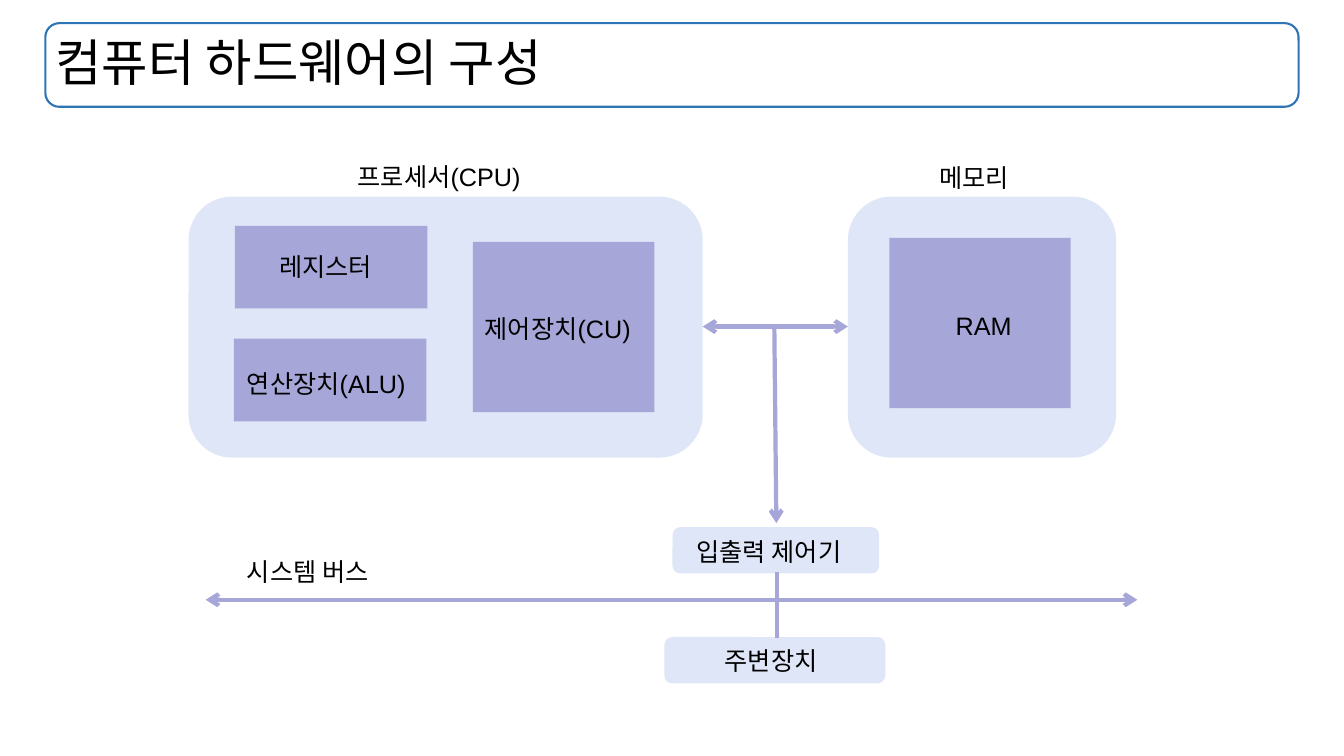
from pptx import Presentation
from pptx.dml.color import RGBColor
from pptx.enum.shapes import MSO_CONNECTOR, MSO_SHAPE
from pptx.enum.text import MSO_ANCHOR
from pptx.oxml.ns import qn
from pptx.util import Inches, Pt
from lxml import etree

ROUND = MSO_SHAPE.ROUNDED_RECTANGLE
RECT = MSO_SHAPE.RECTANGLE
STRAIGHT = MSO_CONNECTOR.STRAIGHT
MIDDLE = MSO_ANCHOR.MIDDLE
PALE, LILAC = "DFE6F7", "A6A7D8"

deck = Presentation()
deck.slide_width, deck.slide_height = Inches(13.33), Inches(7.5)
slide = deck.slides.add_slide(deck.slide_layouts[6])
shapes = slide.shapes


def color(code):
    return RGBColor.from_string(code)


def write(frame, text, size):
    frame.word_wrap = True
    para = frame.paragraphs[0]
    para.text = text
    para.font.name = "Arial"
    para.font.size = Pt(size)
    para.font.color.rgb = color("000000")
    return para


# Title in its outlined frame
place = [Inches(n) for n in (0.45, 0.23, 12.43, 0.83)]
frame = shapes.add_shape(ROUND, *place)
frame.shadow.inherit = False
frame.fill.background()
frame.line.color.rgb = color("2E75B6")
frame.line.width = Pt(1.5)
title = shapes.add_textbox(*place).text_frame
title.vertical_anchor = MIDDLE
write(title, "컴퓨터 하드웨어의 구성", 36).line_spacing = 0.9

# Panels, with the parts inside them
for kind, fill, *place in [
    (ROUND, PALE, 1.87, 1.95, 5.1, 2.59),    # processor
    (RECT, LILAC, 2.33, 2.24, 1.91, 0.82),   # registers
    (RECT, LILAC, 2.32, 3.36, 1.91, 0.82),   # ALU
    (RECT, LILAC, 4.69, 2.4, 1.8, 1.69),     # control unit
    (ROUND, PALE, 8.41, 1.95, 2.66, 2.59),   # memory
    (RECT, LILAC, 8.82, 2.36, 1.8, 1.69),    # RAM
    (ROUND, PALE, 6.67, 5.23, 2.05, 0.46),   # I/O controller
    (ROUND, PALE, 6.59, 6.32, 2.19, 0.46),   # peripherals
]:
    box = shapes.add_shape(kind, *[Inches(n) for n in place])
    box.shadow.inherit = False
    box.fill.solid()
    box.fill.fore_color.rgb = color(fill)
    box.line.fill.background()

# Bus lines, with the ends that carry arrowheads
BOTH = ("headEnd", "tailEnd")
for ends, *points in [
    (BOTH, 6.97, 3.24, 8.41, 3.24),
    (("tailEnd",), 7.68, 3.25, 7.7, 5.19),
    (BOTH, 2.04, 5.95, 11.28, 5.95),
    ((), 7.71, 5.67, 7.71, 6.33),
]:
    bus = shapes.add_connector(STRAIGHT, *[Inches(n) for n in points])
    bus.line.color.rgb = color(LILAC)
    bus.line.width = Pt(3)
    props = bus.line._get_or_add_ln()
    for end in ends:
        etree.SubElement(props, qn("a:" + end), type="arrow")
    etree.SubElement(bus._element.spPr, qn("a:effectLst"))

# Labels
for text, left, top, width in [
    ("프로세서(CPU)", 3.45, 1.55, 1.93),
    ("레지스터", 2.67, 2.44, 1.24),
    ("연산장치(ALU)", 2.35, 3.6, 1.89),
    ("제어장치(CU)", 4.71, 3.06, 1.77),
    ("메모리", 9.22, 1.56, 0.98),
    ("RAM", 9.38, 3.03, 0.79),
    ("입출력 제어기", 6.81, 5.27, 1.81),
    ("시스템 버스", 2.35, 5.47, 1.56),
    ("주변장치", 7.09, 6.35, 1.23),
]:
    label = shapes.add_textbox(Inches(left), Inches(top), Inches(width), Inches(0.4))
    write(label.text_frame, text, 18)

deck.save("out.pptx")
